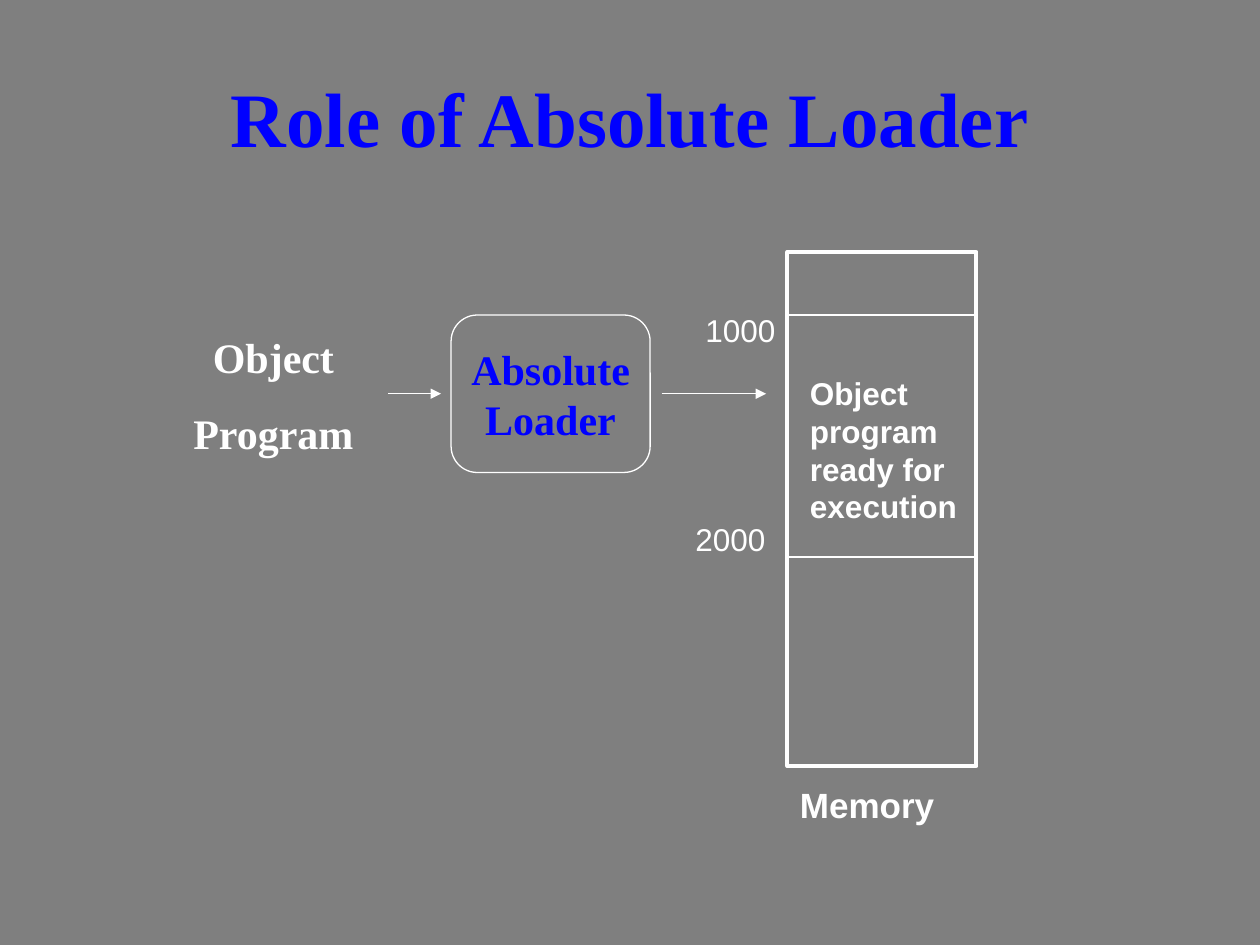
import pptx
import pptx.dml.color
import pptx.enum.shapes
import pptx.enum.text
import pptx.oxml
import pptx.oxml.ns
import pptx.util

Inches = pptx.util.Inches
Align = pptx.enum.text.PP_ALIGN
Anchor = pptx.enum.text.MSO_ANCHOR
Shape = pptx.enum.shapes.MSO_SHAPE

GRAY, WHITE, BLUE = "7F7F7F", "FFFFFF", "0000FF"
SERIF, SANS = "Times New Roman", "Arial"


def color(value):
    return pptx.dml.color.RGBColor.from_string(value)


def write(frame, lines, size, font, ink=WHITE, bold=True, align=Align.LEFT, before=0):
    """Fill a text frame with one paragraph per line."""
    for index, line in enumerate(lines):
        para = frame.paragraphs[0] if index == 0 else frame.add_paragraph()
        para.alignment = align
        para.space_before = pptx.util.Pt(before)
        span = para.add_run()
        span.text = line
        span.font.size = pptx.util.Pt(size)
        span.font.name = font
        span.font.bold = bold
        span.font.color.rgb = color(ink)


def add_label(page, left, top, width, height, lines, size, font, **style):
    box = page.shapes.add_textbox(Inches(left), Inches(top), Inches(width), Inches(height))
    box.text_frame.word_wrap = True
    write(box.text_frame, lines, size, font, **style)


def add_outline(page, kind, left, top, width, height, weight):
    """Add an unfilled shape with a white border."""
    shape = page.shapes.add_shape(kind, Inches(left), Inches(top), Inches(width), Inches(height))
    shape.shadow.inherit = False
    shape.fill.background()
    shape.line.color.rgb = color(WHITE)
    shape.line.width = pptx.util.Pt(weight)
    return shape


def add_level_line(page, start, end, y, weight, arrow=False):
    line = page.shapes.add_connector(
        pptx.enum.shapes.MSO_CONNECTOR.STRAIGHT, Inches(start), Inches(y), Inches(end), Inches(y))
    line.line.color.rgb = color(WHITE)
    line.line.width = pptx.util.Pt(weight)
    if arrow:
        tail = pptx.oxml.parse_xml(
            f'<a:tailEnd {pptx.oxml.ns.nsdecls("a")} type="triangle"/>')
        line.line._get_or_add_ln().append(tail)
    effects = pptx.oxml.parse_xml(f'<a:effectLst {pptx.oxml.ns.nsdecls("a")}/>')
    line._element.spPr.append(effects)


def add_title(page, left, top, width, height):
    title = page.shapes.title
    title.left, title.top = Inches(left), Inches(top)
    title.width, title.height = Inches(width), Inches(height)
    title.text_frame.vertical_anchor = Anchor.MIDDLE
    write(title.text_frame, ["Role of Absolute Loader"], 44, SERIF, ink=BLUE, align=Align.CENTER)


def add_loading_flow(page, left, top, width, height):
    """Object program, arrow, loader, arrow; the arrows run at mid-height."""
    middle = top + height / 2
    right = left + width
    add_label(page, left, top + 0.08, 1.5, 1.11, ["Object", "Program"], 24, SERIF,
              align=Align.CENTER, before=15)
    add_level_line(page, left + 1.66, left + 2.08, middle, 0.75, arrow=True)
    loader = add_outline(page, Shape.FLOWCHART_ALTERNATE_PROCESS,
                         left + 2.16, top, 1.58, height, 0.75)
    loader.text_frame.word_wrap = False
    loader.text_frame.vertical_anchor = Anchor.MIDDLE
    write(loader.text_frame, ["Absolute", "Loader"], 24, SERIF, ink=BLUE, align=Align.CENTER)
    add_level_line(page, right - 0.83, right, middle, 0.75, arrow=True)


def add_memory(page, left, top, width, height):
    """Memory column with its loaded segment, addresses and caption."""
    add_outline(page, Shape.RECTANGLE, left, top, width, height, 2.25)
    for offset in (0.5, 2.42):
        add_level_line(page, left, left + width, top + offset, 1.5)
    add_label(page, left + 0.08, top + 0.92, width - 0.08, 1.3,
              ["Object program ready for execution"], 18, SANS)
    add_label(page, left, top + height + 0.09, 1.33, 0.44, ["Memory"], 20, SANS)
    for address, inset, offset in (("1000", 0.75, 0.42), ("2000", 0.83, 2.08)):
        add_label(page, left - inset, top + offset, 0.92, 0.4, [address], 18, SANS, bold=False)


def main():
    deck = pptx.Presentation()
    deck.slide_width, deck.slide_height = Inches(10), Inches(7.5)
    page = deck.slides.add_slide(deck.slide_layouts[5])
    page.background.fill.solid()
    page.background.fill.fore_color.rgb = color(GRAY)
    add_title(page, 0.5, 0.3, 9, 1.25)
    add_loading_flow(page, 1.42, 2.5, 4.66, 1.25)
    add_memory(page, 6.25, 2, 1.5, 4.08)
    deck.save("out.pptx")


if __name__ == "__main__":
    main()
